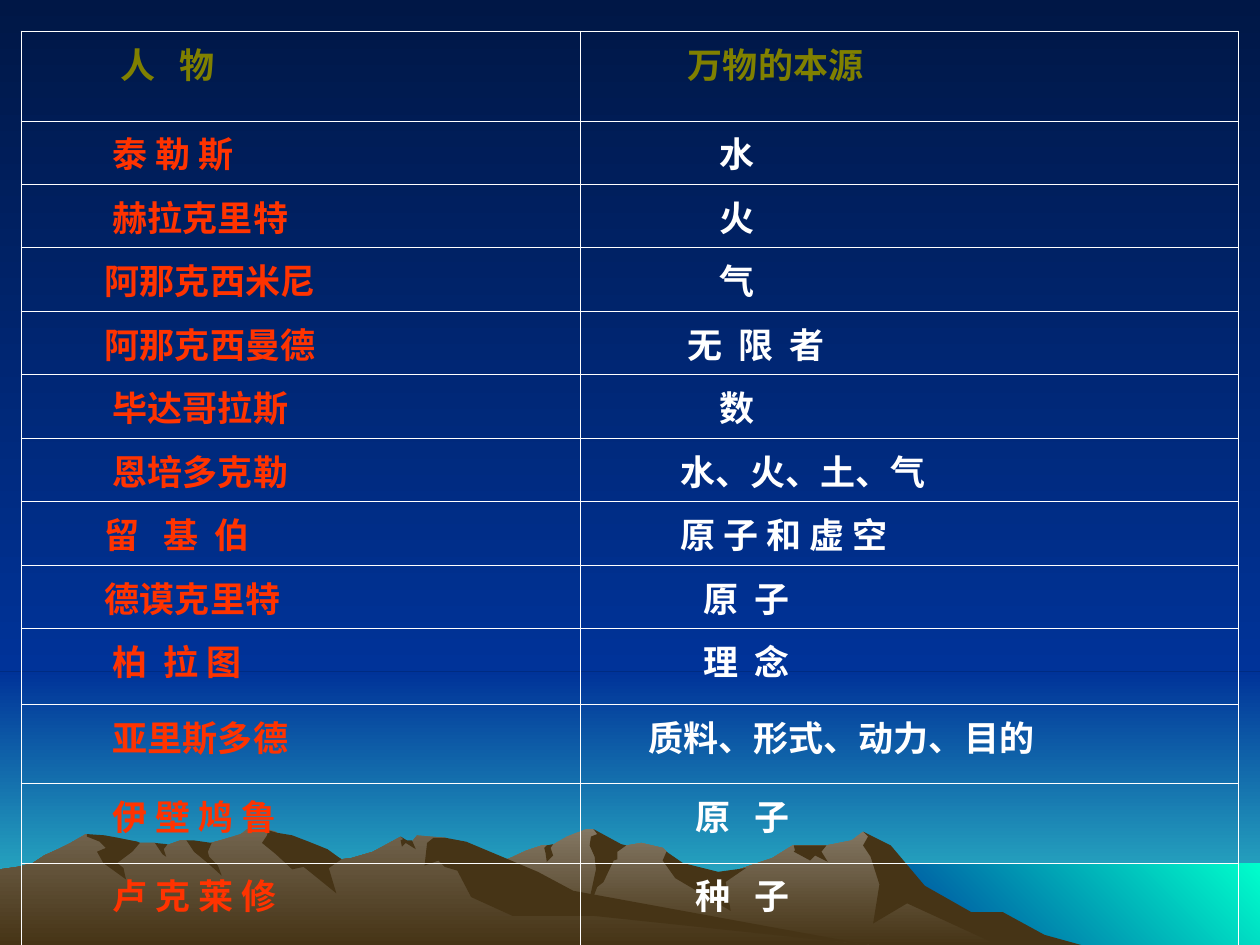
from lxml import etree
from pptx import Presentation
from pptx import util as u
from pptx.dml.color import RGBColor
from pptx.enum import shapes, text
from pptx.oxml import ns

NIGHT = RGBColor(0x00, 0x17, 0x46)
BLUE = RGBColor(0x00, 0x33, 0x99)
TEAL = RGBColor(0x33, 0xCC, 0xCC)
AQUA = RGBColor(0x00, 0xFF, 0xCC)
STONE = RGBColor(0x83, 0x77, 0x63)
EARTH = RGBColor(0x72, 0x64, 0x4E)
BROWN = RGBColor(0x46, 0x34, 0x16)
OLIVE = RGBColor(0x80, 0x80, 0x00)
RED = RGBColor(0xFF, 0x33, 0x00)
WHITE = RGBColor(0xFF, 0xFF, 0xFF)

FONT = "Noto Sans CJK SC"
SPACE_PT = 4.5  # width of one blank at 20 pt
THICK, THIN = 1.08, 0.45
DOWN, DOWN_LEFT = 270, 225  # gradient directions

COLUMN_WIDTHS = [4.44, 5.22]
ROW_HEIGHTS = [0.71, 0.45, 0.5] + [0.45] * 6 + [0.6, 0.63, 0.63, 0.87]

# Each entry: text, indent in blanks, widths of its gaps in blanks (default 1)
ROWS = [
    (("人 物", 11, [3]), ("万物的本源", 12)),
    (("泰 勒 斯", 10), ("水", 16)),
    (("赫拉克里特", 10), ("火", 16)),
    (("阿那克西米尼", 9), ("气", 16)),
    (("阿那克西曼德", 9), ("无 限 者", 12, [2, 2])),
    (("毕达哥拉斯", 10), ("数", 16)),
    (("恩培多克勒", 10), ("水、火、土、气", 11)),
    (("留 基 伯", 9, [3, 2]), ("原 子 和 虚 空", 11)),
    (("德谟克里特", 9), ("原 子", 14, [2])),
    (("柏 拉 图", 10, [2, 1]), ("理 念", 14, [2])),
    (("亚里斯多德", 10), ("质料、形式、动力、目的", 7)),
    (("伊 壁 鸠 鲁", 10), ("原 子", 13, [3])),
    (("卢 克 莱 修", 10), ("种 子", 13, [3])),
]

# Outlines in hundredths of an inch, measured from the mountain box
RIGHT_RANGE = [
    (802, 82), (778, 69), (764, 65), (723, 40), (702, 13), (685, 2), (676, 9), (656, 13),
    (629, 13), (613, 23), (566, 39), (536, 32), (529, 18), (526, 15), (509, 11), (486, 15),
    (474, 3), (471, 0), (465, 0), (450, 6), (438, 13), (430, 13), (418, 17), (405, 23),
    (394, 27), (355, 40), (327, 51), (277, 81), (258, 92), (820, 92)]
LEFT_RANGE = [
    (690, 92), (667, 90), (432, 54), (354, 7), (331, 5), (327, 10), (323, 10), (318, 6),
    (296, 18), (279, 23), (271, 24), (260, 18), (236, 23), (223, 5), (219, 2), (212, 0),
    (196, 0), (191, 4), (178, 8), (160, 13), (148, 9), (143, 9), (132, 13), (128, 13),
    (123, 11), (111, 11), (94, 13), (68, 4), (56, 11), (46, 16), (35, 21), (26, 27),
    (14, 30), (0, 32), (0, 92)]
RIGHT_SHADOWS = [
    [(796, 66), (771, 66), (734, 45), (707, 13), (685, 2), (689, 6), (685, 13), (691, 22),
     (698, 44), (693, 75), (720, 59), (792, 92), (858, 92), (829, 84)],
    [(471, 0), (474, 4), (469, 6), (468, 13), (472, 22), (473, 32), (465, 69), (474, 46),
     (479, 42), (487, 25), (490, 24), (490, 18), (497, 13), (493, 12)],
    [(529, 18), (526, 25), (536, 39), (580, 65), (576, 42), (592, 31), (570, 34), (542, 27)],
    [(650, 13), (630, 13), (631, 17), (630, 18), (643, 25), (647, 21), (657, 26), (652, 18),
     (656, 13)],
    [(433, 19), (432, 15), (434, 13), (439, 12), (437, 15), (439, 21), (434, 26)],
]
LEFT_SHADOWS = [
    [(212, 5), (208, 11), (219, 20), (232, 32), (241, 30), (267, 51), (261, 31), (271, 24),
     (260, 16), (245, 10), (232, 5), (220, 3), (213, 1)],
    [(370, 10), (354, 7), (344, 7), (339, 11), (337, 29), (348, 25), (353, 30), (363, 33),
     (374, 54), (407, 69), (472, 69), (690, 92), (455, 49), (427, 34), (401, 23)],
    [(318, 9), (320, 8), (318, 6), (323, 9), (327, 9), (330, 16), (322, 11), (319, 14)],
    [(154, 9), (168, 11), (165, 18), (166, 22), (173, 29), (176, 37), (165, 27), (154, 18),
     (148, 9)],
    [(133, 12), (130, 16), (132, 22), (129, 20), (123, 11)],
    [(109, 10), (111, 11), (105, 18), (93, 27), (98, 31), (100, 40), (82, 27), (77, 18),
     (84, 15), (79, 10), (69, 6), (69, 4), (83, 5), (94, 7)],
]


def paint(fill, colours, angle=DOWN):
    """Fill with one colour, or with a gradient between two."""
    if len(colours) == 1:
        fill.solid()
        fill.fore_color.rgb = colours[0]
        return
    fill.gradient()
    fill.gradient_angle = angle
    for stop, colour, position in zip(fill.gradient_stops, colours, (0, 1)):
        stop.color.rgb = colour
        stop.position = position


def finish(shape, colours, angle=DOWN):
    shape.shadow.inherit = False
    shape.line.fill.background()
    paint(shape.fill, colours, angle)


def add_scenery(page, box):
    """Sky, horizon glow and water, as bands of the box."""
    left, top, width, height = box
    bands = [
        ((0, 5.33, width, height - 5.33), (BLUE, TEAL), DOWN),
        ((0, 0, width, 5.33), (NIGHT, BLUE), DOWN),
        ((6.83, 6.85, width - 6.83, height - 6.85), (AQUA, BLUE), DOWN_LEFT),
    ]
    for (x, y, w, h), colours, angle in bands:
        band = page.shapes.add_shape(
            shapes.MSO_SHAPE.RECTANGLE,
            *(u.Inches(v) for v in (left + x, top + y, w, h)))
        finish(band, colours, angle)


def add_mountains(page, box):
    """Two ranges, each followed by its shaded slopes."""
    left, top = box
    layers = [(RIGHT_RANGE, (STONE, BROWN))]
    layers += [(slope, (BROWN,)) for slope in RIGHT_SHADOWS]
    layers += [(LEFT_RANGE, (EARTH, BROWN))]
    layers += [(slope, (BROWN,)) for slope in LEFT_SHADOWS]
    for points, colours in layers:
        builder = page.shapes.build_freeform(*points[0], scale=u.Inches(0.01))
        builder.add_line_segments(points[1:], close=True)
        finish(builder.convert_to_shape(u.Inches(left), u.Inches(top)), colours)


def set_borders(cell, widths):
    """Draw white borders; widths are in points for L, R, T, B."""
    props = cell._tc.get_or_add_tcPr()
    for place, (side, width) in enumerate(widths.items()):
        line = etree.Element(ns.qn(f"a:ln{side}"), w=str(u.Pt(width)))
        solid = etree.SubElement(line, ns.qn("a:solidFill"))
        etree.SubElement(solid, ns.qn("a:srgbClr"), val=str(WHITE))
        props.insert(place, line)


def write_cell(cell, colour, words, indent, gaps=None):
    para = cell.text_frame.paragraphs[0]
    para._p.get_or_add_pPr().set("marL", str(u.Pt(indent * SPACE_PT)))
    parts = words.split(" ")
    gaps = gaps or [1] * (len(parts) - 1)
    pieces = [(parts[0], 1)]
    for gap, part in zip(gaps, parts[1:]):
        pieces += [(" ", gap), (part, 1)] if gap > 1 else [(" " + part, 1)]
    for piece, blanks in pieces:
        span = para.add_run()
        span.text = piece
        for name, value in {"size": u.Pt(20), "bold": True, "name": FONT}.items():
            setattr(span.font, name, value)
        span.font.color.rgb = colour
        props = span._r.get_or_add_rPr()
        etree.SubElement(props, ns.qn("a:ea"), typeface=FONT)
        if blanks > 1:  # widen the gap by letter spacing
            props.set("spc", str(round((blanks - 1) * SPACE_PT * 100)))


def add_origins_table(page, box):
    """Thinkers and what each held to be the origin of all things."""
    last_row, last_column = len(ROWS) - 1, len(COLUMN_WIDTHS) - 1
    table = page.shapes.add_table(
        len(ROWS), len(COLUMN_WIDTHS), *(u.Inches(v) for v in box)).table
    for flag in ("first_row", "horz_banding"):
        setattr(table, flag, False)
    for column, width in zip(table.columns, COLUMN_WIDTHS):
        column.width = u.Inches(width)
    for r, (row, height) in enumerate(zip(table.rows, ROW_HEIGHTS)):
        row.height = u.Inches(height)
        for c, cell in enumerate(row.cells):
            cell.vertical_anchor = text.MSO_ANCHOR.TOP
            cell.fill.background()
            edges = {"L": c == 0, "R": c == last_column, "T": r == 0, "B": r == last_row}
            set_borders(cell, {side: THICK if outer else THIN for side, outer in edges.items()})
            write_cell(cell, OLIVE if r == 0 else (RED, WHITE)[c], *ROWS[r][c])


def main():
    deck = Presentation()
    deck.slide_width, deck.slide_height = u.Inches(10), u.Inches(7.5)
    page = deck.slides.add_slide(deck.slide_layouts[6])
    paint(page.background.fill, (NIGHT, BLUE))
    add_scenery(page, (0, 0, 10, 7.5))
    add_mountains(page, (0, 6.58))
    add_origins_table(page, (0.17, 0.25, sum(COLUMN_WIDTHS), sum(ROW_HEIGHTS)))
    deck.save("out.pptx")


if __name__ == "__main__":
    main()
